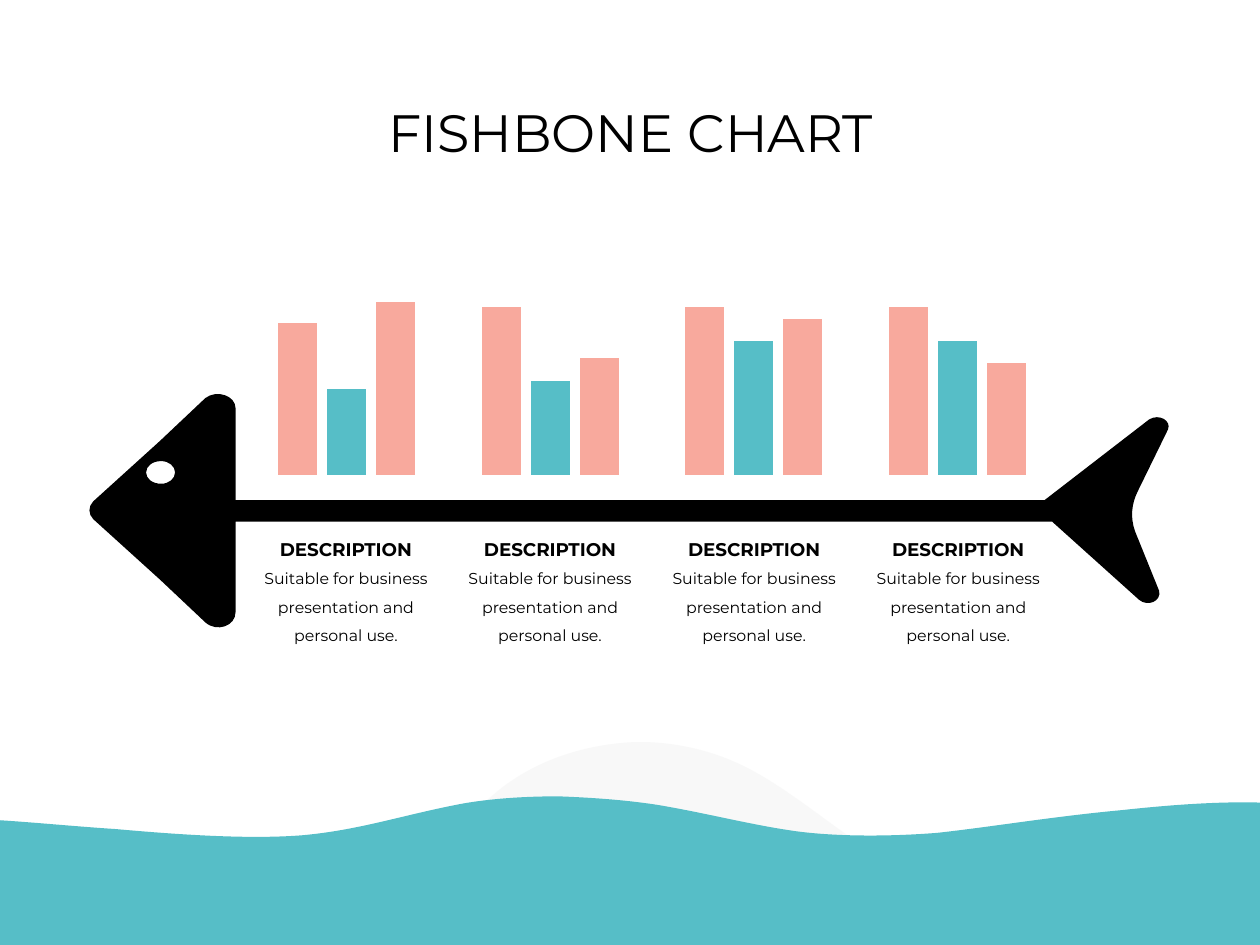
from dataclasses import dataclass

from lxml import etree
from pptx import Presentation
from pptx.chart.data import CategoryChartData
from pptx.dml.color import RGBColor
from pptx.enum.chart import XL_CHART_TYPE, XL_TICK_MARK
from pptx.enum.text import MSO_ANCHOR, MSO_AUTO_SIZE, PP_ALIGN
from pptx.oxml import parse_xml
from pptx.oxml.ns import nsdecls, qn
from pptx.util import Pt

COLUMNS = XL_CHART_TYPE.COLUMN_CLUSTERED
NO_TICK = XL_TICK_MARK.NONE
MIDDLE = MSO_ANCHOR.MIDDLE
NO_AUTOSIZE = MSO_AUTO_SIZE.NONE
CENTER = PP_ALIGN.CENTER

EMU_PER_PX = 9144  # 100 px to the inch


@dataclass(frozen=True)
class Theme:
    font: str = "Montserrat"
    black: str = "000000"
    white: str = "FFFFFF"
    teal: str = "56BEC7"
    coral: str = "F8A99D"
    mist: str = "F2F2F2"
    title_size: float = 30
    heading_size: float = 10.5
    body_size: float = 9
    axis_size: float = 12


@dataclass(frozen=True)
class Rib:
    values: tuple[int, int, int]
    chart_left: int
    plot_height: int
    heading: str = "DESCRIPTION"
    body: str = "Suitable for business presentation and personal use."


@dataclass(frozen=True)
class Area:
    left: int
    top: int
    width: int
    height: int

    def emu(self) -> tuple[int, ...]:
        return tuple(px(n) for n in (self.left, self.top, self.width, self.height))


# A contour is a start point followed by line ends (x, y) or cubic curves
# (control 1, control 2, end).
Contour = list[tuple[int, ...]]

THEME = Theme()
RIBS = [
    Rib((88, 50, 100), 183, 137),
    Rib((100, 56, 70), 345, 133),
    Rib((100, 80, 93), 506, 133),
    Rib((100, 80, 67), 668, 133),
]
FIRST_CENTER, RIB_PITCH = 275, 162
CHART_TOP, CHART_WIDTH, CHART_HEIGHT = 218, 184, 186
PLOT_WIDTH, PLOT_BOTTOM = 176, 377

MOUND: Contour = [
    (503, 589), (535, 588, 569, 596, 598, 612), (658, 645, 711, 707, 785, 711),
    (832, 713, 874, 686, 920, 678), (948, 674, 973, 677, 993, 685),
    (1000, 688), (1000, 750), (0, 750), (0, 697), (1, 696),
    (9, 693, 18, 690, 26, 688), (52, 682, 79, 675, 105, 679),
    (127, 681, 148, 691, 169, 697), (222, 713, 293, 718, 337, 683),
    (356, 668, 370, 649, 388, 634), (418, 606, 460, 591, 503, 589),
]
SEA: Contour = [
    (0, 750), (1000, 750), (1000, 637), (966, 636, 927, 639, 890, 643),
    (836, 648, 789, 656, 744, 661), (706, 664, 666, 664, 634, 660),
    (597, 655, 564, 646, 523, 639), (498, 635, 470, 633, 443, 632),
    (415, 632, 388, 634, 366, 638), (319, 647, 285, 659, 239, 663),
    (199, 666, 148, 663, 92, 658), (61, 656, 31, 653, 0, 651),
]
FISH: Contour = [
    (74, 398), (127, 350), (163, 316), (172, 309, 187, 314, 187, 324),
    (187, 397), (829, 397), (912, 333), (920, 328, 930, 334, 927, 341),
    (903, 390), (898, 400, 897, 411, 901, 422), (920, 469),
    (922, 477, 911, 482, 904, 476), (835, 414), (187, 414), (187, 486),
    (187, 497, 172, 502, 163, 494), (127, 460), (74, 412),
    (70, 408, 70, 402, 74, 398),
]
EYE: Contour = [
    (128, 384), (134, 384, 139, 380, 139, 375), (139, 370, 134, 366, 128, 366),
    (121, 366, 116, 370, 116, 375), (116, 380, 121, 384, 128, 384),
]


def px(length: int) -> int:
    return length * EMU_PER_PX


def knots(segment: tuple[int, ...]) -> list[tuple[int, int]]:
    return [(px(x), px(y)) for x, y in zip(segment[::2], segment[1::2])]


def bend(shape, segments: Contour) -> None:
    """Join the three lines laid for each curve into one cubic curve."""
    lines = iter(list(shape._element.iter(qn("a:lnTo"))))
    for segment in segments:
        first = next(lines)
        if len(segment) == 2:
            continue
        curve = etree.Element(qn("a:cubicBezTo"))
        first.addprevious(curve)
        for line in (first, next(lines), next(lines)):
            curve.append(line[0])
            line.getparent().remove(line)


def draw_outline(page, contours: list[Contour], color: str, opacity: int = 100) -> None:
    builder = page.shapes.build_freeform(*knots(contours[0][0])[0], scale=1.0)
    for index, contour in enumerate(contours):
        if index:
            builder.move_to(*knots(contour[0])[0])
        points = [point for segment in contour[1:] for point in knots(segment)]
        builder.add_line_segments(points, close=True)
    shape = builder.convert_to_shape()
    bend(shape, [segment for contour in contours for segment in contour[1:]])
    shape.shadow.inherit = False
    shape.line.fill.background()
    shape.fill.solid()
    shape.fill.fore_color.rgb = RGBColor.from_string(color)
    if opacity < 100:
        tint = shape._element.spPr.find(".//" + qn("a:srgbClr"))
        etree.SubElement(tint, qn("a:alpha")).set("val", str(opacity * 1000))


def write(box, text: str, size: float, bold: bool = False,
          spacing: float = 1.0, wrap: bool = True) -> None:
    frame = box.text_frame
    frame.auto_size = NO_AUTOSIZE
    frame.word_wrap = wrap
    frame.vertical_anchor = MIDDLE
    para = frame.paragraphs[0]
    para.alignment = CENTER
    para.line_spacing = spacing
    span = para.add_run()
    span.text = text
    span.font.name = THEME.font
    span.font.size = Pt(size)
    span.font.bold = bold
    span.font.color.rgb = RGBColor.from_string(THEME.black)


def place_plot(chart, height: int) -> None:
    """Fix the inner plot area so that all bars stand on one line."""
    layout = parse_xml(f"<c:layout {nsdecls('c')}><c:manualLayout/></c:layout>")
    top = PLOT_BOTTOM - height - CHART_TOP
    settings = {
        "layoutTarget": "inner", "xMode": "edge", "yMode": "edge",
        "x": (CHART_WIDTH - PLOT_WIDTH) / 2 / CHART_WIDTH,
        "y": top / CHART_HEIGHT,
        "w": PLOT_WIDTH / CHART_WIDTH,
        "h": height / CHART_HEIGHT,
    }
    for name, value in settings.items():
        etree.SubElement(layout[0], qn(f"c:{name}")).set("val", str(value))
    plot_area = chart._chartSpace.chart.plotArea
    for old in plot_area.findall(qn("c:layout")):
        plot_area.remove(old)
    plot_area.insert(0, layout)


def draw_chart(page, rib: Rib) -> None:
    data = CategoryChartData()
    data.categories = [""]
    for number, value in enumerate(rib.values, 1):
        data.add_series(f"Series {number}", [value])
    area = Area(rib.chart_left, CHART_TOP, CHART_WIDTH, CHART_HEIGHT)
    chart = page.shapes.add_chart(COLUMNS, *area.emu(), data).chart
    chart.has_legend = chart.has_title = False
    chart.font.name = THEME.font
    chart.font.size = Pt(THEME.axis_size)
    chart.font.color.rgb = RGBColor.from_string(THEME.white)
    chart.category_axis.major_tick_mark = NO_TICK
    chart.category_axis.format.line.fill.background()
    chart.value_axis.has_major_gridlines = False
    chart.value_axis.minimum_scale = 0
    chart.value_axis.maximum_scale = 100
    chart.value_axis.visible = False
    plot = chart.plots[0]
    plot.vary_by_categories = False
    plot.gap_width, plot.overlap = 219, -27
    for series, color in zip(plot.series, (THEME.coral, THEME.teal, THEME.coral)):
        series.format.fill.solid()
        series.format.fill.fore_color.rgb = RGBColor.from_string(color)
    place_plot(chart, rib.plot_height)


def draw_rib(page, rib: Rib, center: int) -> None:
    draw_chart(page, rib)
    heading = page.shapes.add_textbox(*Area(center - 65, 422, 129, 28).emu())
    write(heading, rib.heading, THEME.heading_size, bold=True, wrap=False)
    body = page.shapes.add_textbox(*Area(center - 78, 440, 155, 76).emu())
    write(body, rib.body, THEME.body_size, spacing=1.5)


def main() -> None:
    deck = Presentation()
    deck.slide_width, deck.slide_height = px(1000), px(750)
    page = deck.slides.add_slide(deck.slide_layouts[5])
    title = page.shapes.title
    title.left, title.top, title.width, title.height = Area(200, 69, 601, 66).emu()
    title.text_frame.margin_top = px(16)
    write(title, "FISHBONE CHART", THEME.title_size, spacing=0.9)
    draw_outline(page, [MOUND], THEME.mist, opacity=50)
    draw_outline(page, [SEA], THEME.teal)
    draw_outline(page, [FISH, EYE], THEME.black)
    for index, rib in enumerate(RIBS):
        draw_rib(page, rib, FIRST_CENTER + index * RIB_PITCH)
    deck.save("out.pptx")


if __name__ == "__main__":
    main()
